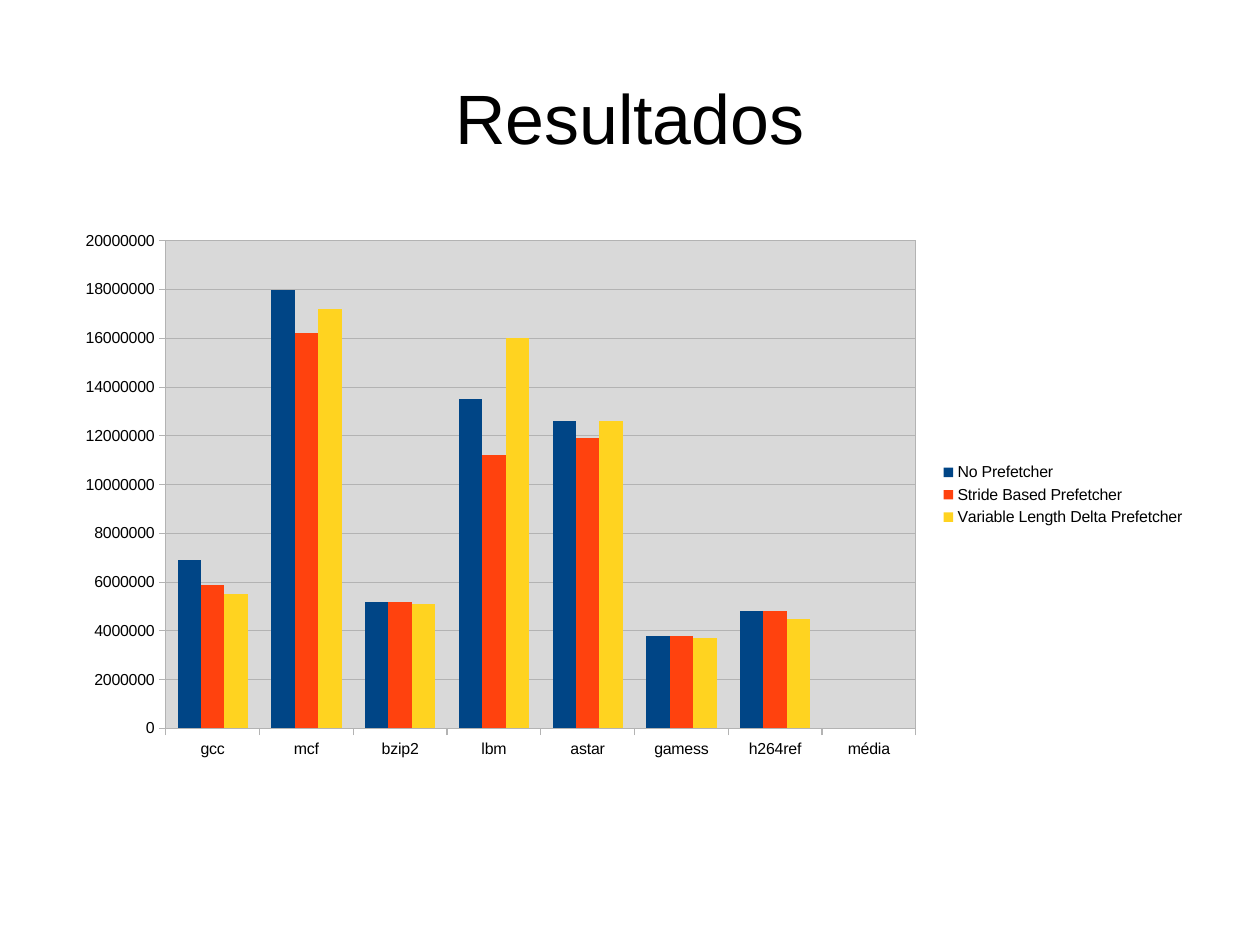
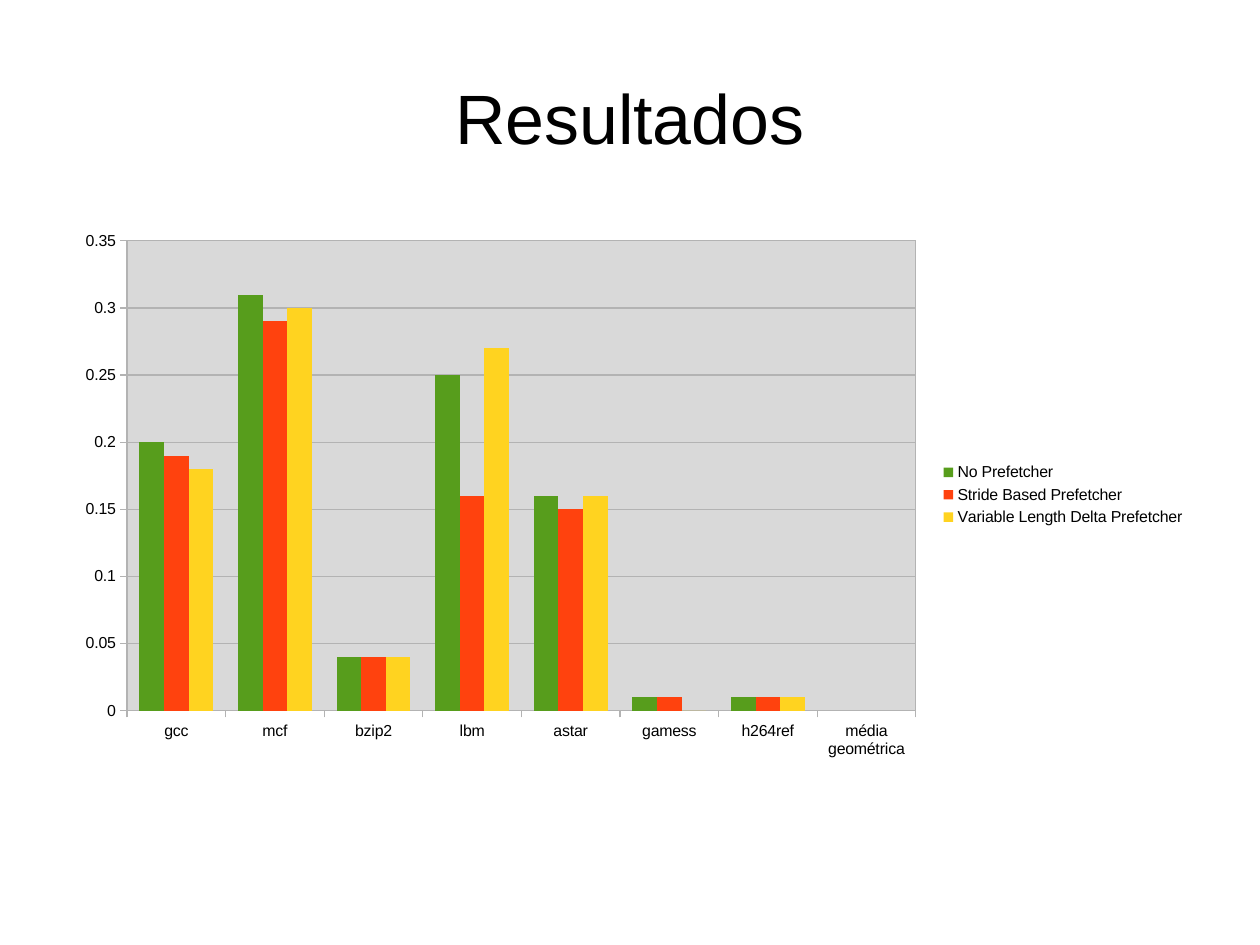
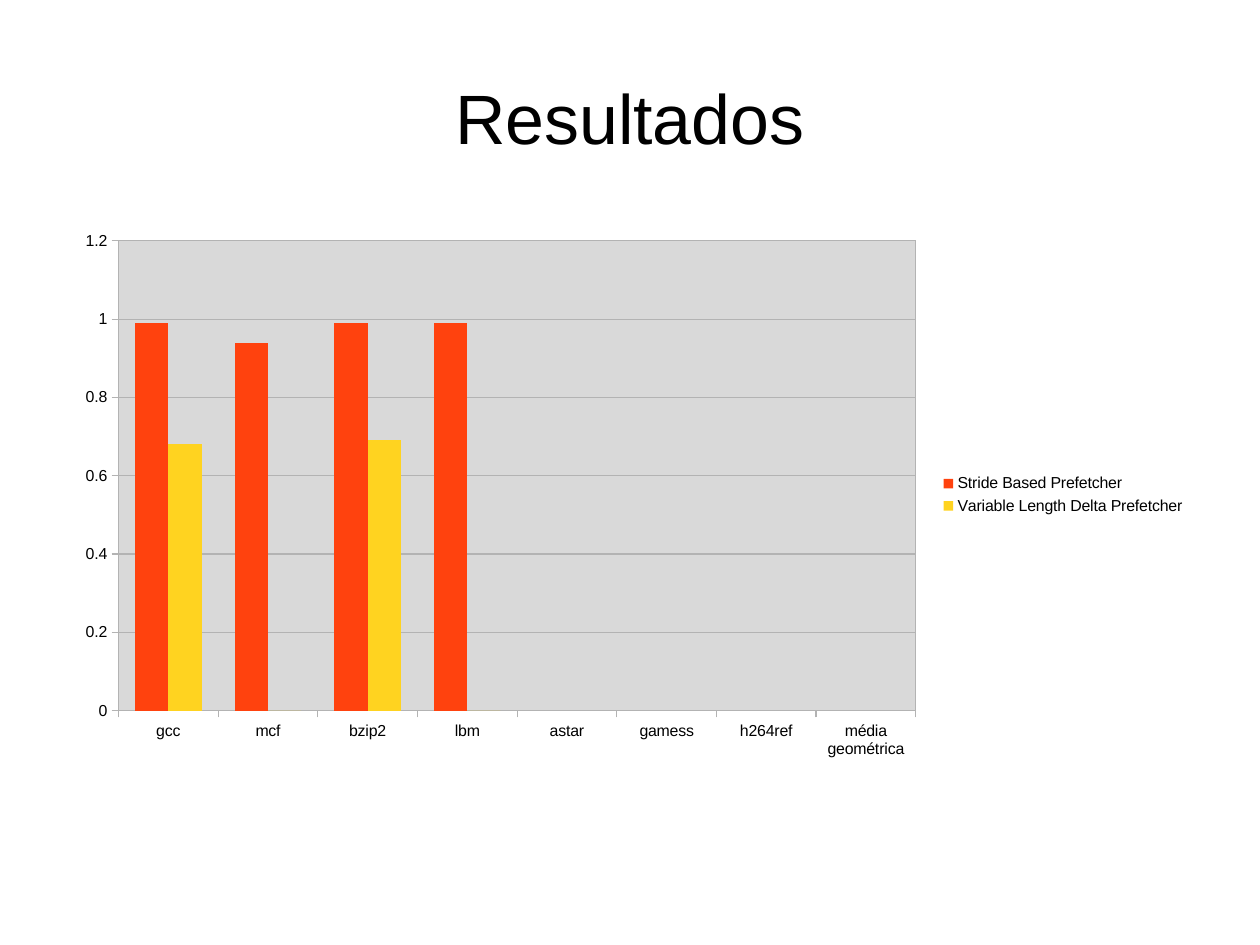
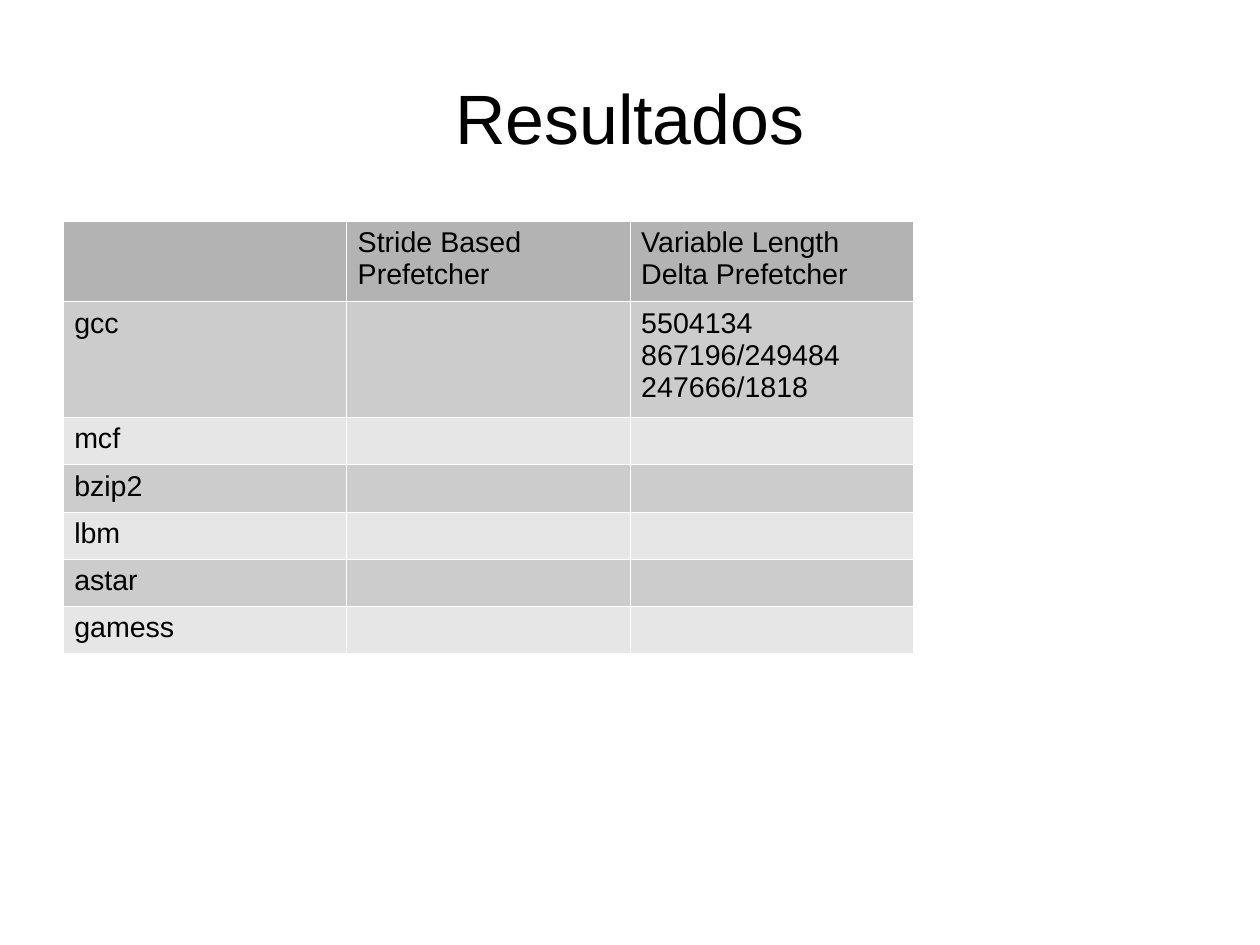
from lxml.etree import SubElement
from pptx import Presentation
from pptx.chart.data import CategoryChartData
from pptx.dml.color import RGBColor
from pptx.enum.chart import XL_CHART_TYPE as CHART, XL_LEGEND_POSITION as LEGEND, XL_TICK_MARK as TICK
from pptx.enum.text import MSO_ANCHOR as ANCHOR, PP_ALIGN as ALIGN
from pptx.oxml.ns import qn
from pptx.util import Emu, Pt

PX = 3600
SLIDE_SIZE = (2800, 2100)
FONT = "Arial"
BLACK, WHITE, GRID, PLOT = "000000", "FFFFFF", "B3B3B3", "D9D9D9"
BLUE, GREEN, ORANGE, YELLOW = "004586", "579D1C", "FF420E", "FFD320"
HEADER, BANDS = "B3B3B3", ("CCCCCC", "E6E6E6")

TITLE = "Resultados"
TITLE_BOX = (140, 84, 2520, 351)
CHART_BOX = (140, 491, 2520, 1217)
ROW_HEIGHTS = [179, 257] + [105] * 5
TABLE_BOX = (140, 491, 1890, sum(ROW_HEIGHTS))
CELL_MARGINS = (25, 13, 25, 13)

NONE, STRIDE, DELTA = "No Prefetcher", "Stride Based Prefetcher", "Variable Length Delta Prefetcher"
BENCHMARKS = ["gcc", "mcf", "bzip2", "lbm", "astar", "gamess", "h264ref"]

CHARTS = [
    dict(mean="média", top=20000000, step=2000000, series=[
        (NONE, BLUE, [6900000, 18000000, 5200000, 13500000, 12600000, 3800000, 4800000]),
        (STRIDE, ORANGE, [5900000, 16200000, 5200000, 11200000, 11900000, 3800000, 4800000]),
        (DELTA, YELLOW, [5500000, 17200000, 5100000, 16000000, 12600000, 3700000, 4500000]),
    ]),
    dict(mean="média geométrica", top=0.35, step=0.05, series=[
        (NONE, GREEN, [0.2, 0.31, 0.04, 0.25, 0.16, 0.01, 0.01]),
        (STRIDE, ORANGE, [0.19, 0.29, 0.04, 0.16, 0.15, 0.01, 0.01]),
        (DELTA, YELLOW, [0.18, 0.3, 0.04, 0.27, 0.16, 0, 0.01]),
    ]),
    dict(mean="média geométrica", top=1.2, step=0.2, series=[
        (STRIDE, ORANGE, [0.99, 0.94, 0.99, 0.99]),
        (DELTA, YELLOW, [0.68, 0, 0.69, 0]),
    ]),
]

TABLE = [
    ("", STRIDE, DELTA),
    ("gcc", "", "5504134\n867196/249484\n247666/1818"),
    *[(name, "", "") for name in BENCHMARKS[1:6]],
]


def px(*lengths):
    return [Emu(n * PX) for n in lengths]


def rgb(value):
    return RGBColor.from_string(value)


def style_font(font, size, color=BLACK):
    font.name = FONT
    font.size = Pt(size)
    font.color.rgb = rgb(color)


def write(tf, text, size=18, align=ALIGN.LEFT):
    for i, line in enumerate(text.split("\n")):
        p = tf.add_paragraph() if i else tf.paragraphs[0]
        p.alignment = align
        r = p.add_run()
        r.text = line
        style_font(r.font, size)


def style_line(line):
    line.color.rgb = rgb(GRID)
    line.width = Pt(0)


def xml_fill(parent, color):
    fill = SubElement(parent, qn("a:solidFill"))
    SubElement(fill, qn("a:srgbClr"), val=color)


def add_slide(prs):
    s = prs.slides.add_slide(prs.slide_layouts[6])
    tf = s.shapes.add_textbox(*px(*TITLE_BOX)).text_frame
    tf.word_wrap = True
    tf.vertical_anchor = ANCHOR.MIDDLE
    tf.margin_left = tf.margin_top = tf.margin_right = tf.margin_bottom = 0
    write(tf, TITLE, size=44, align=ALIGN.CENTER)
    return s


def add_column_chart(s, mean, top, step, series):
    data = CategoryChartData()
    data.categories = BENCHMARKS + [mean]
    for name, _, values in series:
        data.add_series(name, values + [None] * (len(BENCHMARKS) + 1 - len(values)))
    chart = s.shapes.add_chart(CHART.COLUMN_CLUSTERED, *px(*CHART_BOX), data).chart
    chart.has_title = False
    style_font(chart.font, 10)
    chart.has_legend = True
    chart.legend.position = LEGEND.RIGHT
    chart.legend.include_in_layout = False
    style_font(chart.legend.font, 10)

    plot = chart.plots[0]
    plot.gap_width = 100
    plot.overlap = 0
    plot.vary_by_categories = False
    for bar, (_, color, _) in zip(plot.series, series):
        bar.format.fill.solid()
        bar.format.fill.fore_color.rgb = rgb(color)

    for axis in (chart.category_axis, chart.value_axis):
        axis.major_tick_mark = TICK.OUTSIDE
        axis.minor_tick_mark = TICK.NONE
        style_font(axis.tick_labels.font, 10)
        style_line(axis.format.line)
    axis = chart.value_axis
    axis.minimum_scale, axis.maximum_scale, axis.major_unit = 0, top, step
    axis.has_major_gridlines = True
    style_line(axis.major_gridlines.format.line)

    plot_area = chart.element.find(".//" + qn("c:plotArea"))
    props = SubElement(plot_area, qn("c:spPr"))
    xml_fill(props, PLOT)
    xml_fill(SubElement(props, qn("a:ln"), w="0"), GRID)


def style_cell(cell, color):
    cell.margin_left, cell.margin_top, cell.margin_right, cell.margin_bottom = px(*CELL_MARGINS)
    props = cell._tc.get_or_add_tcPr()
    for side in ("lnL", "lnR", "lnT", "lnB"):
        xml_fill(SubElement(props, qn("a:" + side), w=str(Pt(0.06))), WHITE)
    cell.fill.solid()
    cell.fill.fore_color.rgb = rgb(color)


def add_results_table(s):
    table = s.shapes.add_table(len(TABLE), len(TABLE[0]), *px(*TABLE_BOX)).table
    table.first_row = table.horz_banding = False
    for row, height in zip(table.rows, px(*ROW_HEIGHTS)):
        row.height = height
    for i, texts in enumerate(TABLE):
        color = BANDS[(i - 1) % 2] if i else HEADER
        for j, text in enumerate(texts):
            cell = table.cell(i, j)
            style_cell(cell, color)
            if text:
                write(cell.text_frame, text)


def main():
    prs = Presentation()
    prs.slide_width, prs.slide_height = px(*SLIDE_SIZE)
    for content in CHARTS:
        add_column_chart(add_slide(prs), **content)
    add_results_table(add_slide(prs))
    prs.save("out.pptx")


if __name__ == "__main__":
    main()
